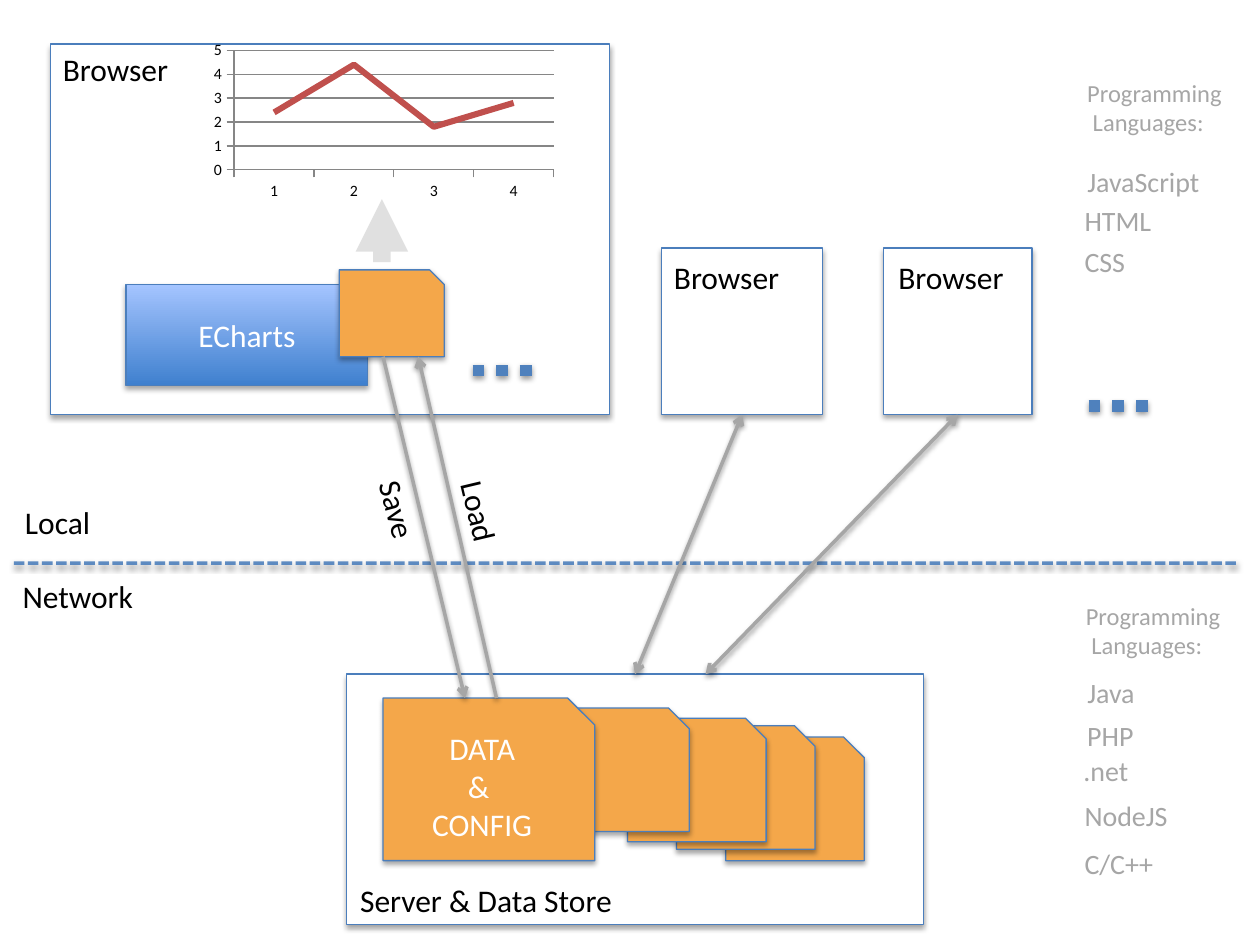
from pptx import Presentation
from pptx.util import Pt
from pptx.dml.color import RGBColor
from pptx.chart.data import CategoryChartData
from pptx.enum.chart import XL_CHART_TYPE, XL_MARKER_STYLE, XL_TICK_MARK
from pptx.enum.dml import MSO_LINE
from pptx.enum.shapes import MSO_CONNECTOR, MSO_SHAPE
from pptx.enum.text import MSO_ANCHOR, MSO_AUTO_SIZE, PP_ALIGN
from pptx.oxml import parse_xml
from pptx.oxml.ns import qn
from lxml.etree import SubElement

NS = 'xmlns:a="http://schemas.openxmlformats.org/drawingml/2006/main"'
EDGE, BLUE, GREY, CARD = "4B7EBC", "4F81BD", "A6A6A6", "F4A74A"

deck = Presentation()
deck.slide_width, deck.slide_height = Pt(720), Pt(540)
slide = deck.slides.add_slide(deck.slide_layouts[6])


def tint(part, color):
    """Give a fill or line format one solid hex colour."""
    fill = part.fill if hasattr(part, "fill") else part
    fill.solid()
    fill.fore_color.rgb = RGBColor.from_string(color)


def shade(item, alpha=0, dist=0):
    """Set the drop shadow, or none when alpha is zero."""
    drop = ""
    if alpha:
        drop = (f'<a:outerShdw blurRad="{Pt(3.1)}" dist="{Pt(dist)}" dir="5400000" rotWithShape="0">'
                f'<a:srgbClr val="000000"><a:alpha val="{alpha * 1000}"/></a:srgbClr></a:outerShdw>')
    item._element.spPr.append(parse_xml(f"<a:effectLst {NS}>{drop}</a:effectLst>"))


def write(frame, text, size=18, color="000000", align=PP_ALIGN.LEFT):
    """Fill a text frame, one paragraph for each line."""
    for i, line in enumerate(text.split("\n")):
        para = frame.paragraphs[0] if i == 0 else frame.add_paragraph()
        para.alignment = align
        run = para.add_run()
        run.text = line
        run.font.size, run.font.name = Pt(size), "Calibri"
        run.font.color.rgb = RGBColor.from_string(color)


def label(x, y, w, text, h=29, turn=0, **style):
    """Place a text box that does not wrap."""
    box = slide.shapes.add_textbox(Pt(x), Pt(y), Pt(w), Pt(h))
    box.rotation = turn
    box.text_frame.word_wrap = False
    box.text_frame.auto_size = MSO_AUTO_SIZE.SHAPE_TO_FIT_TEXT
    write(box.text_frame, text, **style)


def block(x, y, w, h, fill="FFFFFF", kind=MSO_SHAPE.RECTANGLE, text=""):
    """Place an outlined shape with a soft shadow."""
    item = slide.shapes.add_shape(kind, Pt(x), Pt(y), Pt(w), Pt(h))
    tint(item.fill, fill)
    tint(item.line, EDGE)
    item.line.width = Pt(0.75)
    shade(item, 35, 1.8)
    if text:
        item.text_frame.vertical_anchor = MSO_ANCHOR.MIDDLE
        write(item.text_frame, text, color="FFFFFF", align=PP_ALIGN.CENTER)
    return item


def card(x, y, w, h, text=""):
    """Place an orange data card with one cut corner."""
    block(x, y, w, h, CARD, MSO_SHAPE.SNIP_1_RECTANGLE, text)


def link(x1, y1, x2, y2, color=GREY, width=2, dash=None, alpha=100, head="", tail="", drop=True):
    """Draw a line with optional dashes and arrowheads."""
    item = slide.shapes.add_connector(MSO_CONNECTOR.STRAIGHT, Pt(x1), Pt(y1), Pt(x2), Pt(y2))
    tint(item.line, color)
    item.line.width = Pt(width)
    if dash:
        item.line.dash_style = dash
    ln = item._element.spPr.find(qn("a:ln"))
    if alpha < 100:
        tone = ln.find(".//" + qn("a:srgbClr"))
        SubElement(tone, qn("a:alpha")).set("val", str(alpha * 1000))
    for end, kind in (("a:headEnd", head), ("a:tailEnd", tail)):
        if kind:
            SubElement(ln, qn(end)).set("type", kind)
    shade(item, 38 if drop else 0, 1.6)


def dots(x, y):
    """Draw three square dots."""
    link(x, y, x + 36.7, y, BLUE, 6.75, MSO_LINE.ROUND_DOT)


def graph(x, y, w, h):
    """Place the line chart."""
    data = CategoryChartData()
    data.categories = ["1", "2", "3", "4"]
    data.add_series("Series 1", (2.4, 4.4, 1.8, 2.8))
    chart = slide.shapes.add_chart(XL_CHART_TYPE.LINE, Pt(x), Pt(y), Pt(w), Pt(h), data).chart
    chart.has_title = chart.has_legend = False
    chart.font.size, chart.font.name = Pt(9), "Calibri"
    chart.font.color.rgb = RGBColor.from_string("000000")
    chart.plots[0].vary_by_categories = False
    line = chart.plots[0].series[0]
    line.smooth = False
    line.marker.style = XL_MARKER_STYLE.NONE
    tint(line.format.line, "C0504D")
    line.format.line.width = Pt(3.5)
    rise = chart.value_axis
    rise.minimum_scale, rise.maximum_scale, rise.major_unit = 0, 5, 1
    rise.has_major_gridlines = True
    tint(rise.major_gridlines.format.line, "868686")
    for axis in (chart.category_axis, rise):
        axis.major_tick_mark = XL_TICK_MARK.OUTSIDE
        axis.tick_labels.font.size = Pt(9)
        tint(axis.format.line, "868686")


def client(x, y, w, h, inset=0, drop=2.2):
    """Draw a browser window with its name."""
    block(x, y, w, h)
    label(x + inset, y + drop, 75.6, "Browser")


def studio(x, y, w, h):
    """Draw the large browser with its chart and library."""
    client(x, y, w, h, drop=0)
    core = block(x + 43.2, y + 137.5, 138.2, 57.6, text="ECharts")
    core.fill.gradient()
    core.fill.gradient_angle = 90
    for stop, color in zip(core.fill.gradient_stops, ("3F80CE", "A4C4FF")):
        stop.color.rgb = RGBColor.from_string(color)
    dots(x + 241.2, y + 186.5)
    card(x + 165, y + 129, 60, 49.7)
    graph(x + 89.3, y - 3.6, 202.3, 95)
    link(x + 189.4, y + 124.6, x + 189.4, y + 88.6, "BFBFBF", 10,
         alpha=48, tail="triangle", drop=False)


def server(x, y, w, h):
    """Draw the server with its stack of data cards."""
    block(x, y, w, h)
    label(x + 0.7, y + 114.5, 160.6, "Server & Data Store")
    for dx, dy, wide in ((216.7, 36, 79.2), (188.6, 29.5, 79.2), (160.6, 25.2, 79.2), (108.7, 19.4, 87.1)):
        card(x + dx, y + dy, wide, 70.6)
    card(x + 20.9, y + 13.7, 121, 92.9, "DATA\n& \nCONFIG")


def tongues(x, y, names):
    """List the programming languages of one side."""
    label(x, y, 95.8, "Programming\n Languages:", h=41, size=14, color=GREY)
    for text, dx, dy, w in names:
        label(x + dx, y + dy, w, text, h=26.6, size=16, color=GREY)


studio(28.8, 25.2, 319.7, 211.7)
client(378, 141.8, 92.2, 95)
client(504.7, 141.8, 85, 95, 1.5)
server(198, 385.2, 329.8, 143.3)

link(7.9, 321.8, 707.8, 321.8, BLUE, 2, MSO_LINE.SQUARE_DOT, 90)
label(7.2, 283.7, 52.6, "Local")
label(5.8, 326.2, 78.5, "Network")

for x1, x2 in ((424.1, 362.9), (547.2, 403.2)):
    link(x1, 236.9, x2, 385.2, head="arrow", tail="arrow")
link(283.7, 398.9, 239, 203.8, tail="arrow")
link(218.9, 203.8, 265.7, 398.9, tail="arrow")
label(249.1, 277.9, 49.7, "Load", turn=76.6)
label(203, 277.2, 49, "Save", turn=75)

dots(622.1, 231.8)
tongues(614.2, 41, (("JavaScript", 0, 49.7, 79.9), ("HTML", -1.5, 72, 53.3), ("CSS", -1.5, 95, 38.2)))
tongues(613.4, 339.8, (("Java", 0.8, 42.5, 42.5), ("PHP", 0.8, 67, 41), (".net", -1.4, 87.2, 40.3),
                       ("NodeJS", -0.7, 113, 62.6), ("C/C++", -0.7, 140.4, 54)))

deck.save("out.pptx")
